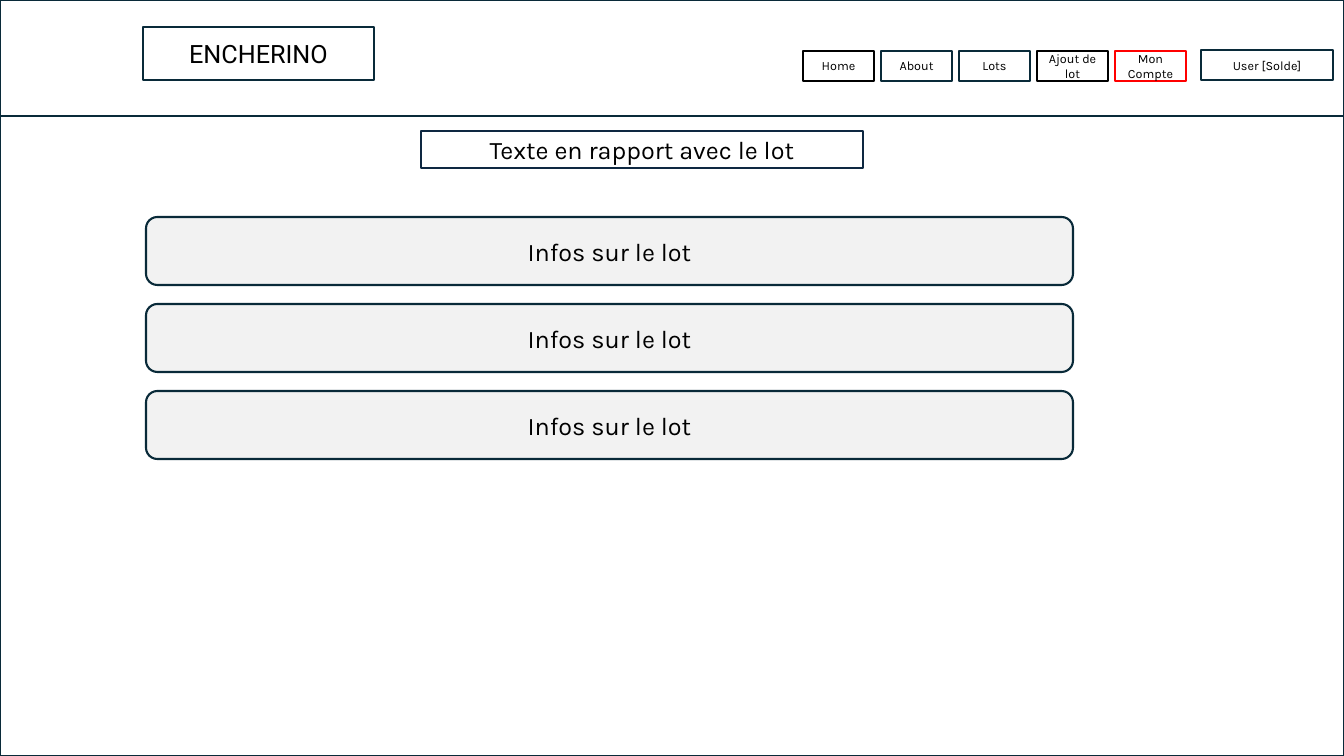
import pptx
import pptx.dml.color
import pptx.enum.shapes
import pptx.enum.text
import pptx.util

RGBColor = pptx.dml.color.RGBColor
SHAPES = pptx.enum.shapes.MSO_SHAPE

EMU_PER_PX = 914400 / 100.8
SLIDE_WIDTH, SLIDE_HEIGHT = 1344, 756

NAVY = RGBColor(0x09, 0x2A, 0x39)
DARK_BLUE = RGBColor(0x0E, 0x28, 0x41)
BLACK = RGBColor(0x00, 0x00, 0x00)
RED = RGBColor(0xFF, 0x00, 0x00)
WHITE = RGBColor(0xFF, 0xFF, 0xFF)
LIGHT_GRAY = RGBColor(0xF2, 0xF2, 0xF2)


def px(length):
    return pptx.util.Emu(round(length * EMU_PER_PX))


def write_text(shape, text, size=18, font="Karla", color=BLACK):
    frame = shape.text_frame
    frame.word_wrap = True
    frame.vertical_anchor = pptx.enum.text.MSO_ANCHOR.MIDDLE
    paragraph = frame.paragraphs[0]
    paragraph.alignment = pptx.enum.text.PP_ALIGN.CENTER
    run = paragraph.add_run()
    run.text = text
    run.font.size = pptx.util.Pt(size)
    run.font.name = font
    run.font.color.rgb = color


class Wireframe:
    line_width = pptx.util.Pt(1.5)

    def __init__(self, slide):
        self.slide = slide

    def outline(self, left, top, width, height, line=NAVY, kind=SHAPES.RECTANGLE):
        shape = self.slide.shapes.add_shape(
            kind, px(left), px(top), px(width), px(height))
        shape.shadow.inherit = False
        shape.fill.background()
        shape.line.color.rgb = line
        shape.line.width = self.line_width
        return shape

    def box(self, text, left, top, width, height, line=NAVY, **text_format):
        shape = self.outline(left, top, width, height, line)
        shape.fill.solid()
        shape.fill.fore_color.rgb = WHITE
        write_text(shape, text, **text_format)

    def card(self, text, left, top, width, height):
        shape = self.outline(left, top, width, height, kind=SHAPES.ROUNDED_RECTANGLE)
        shape.fill.solid()
        shape.fill.fore_color.rgb = LIGHT_GRAY
        write_text(shape, text)


def main():
    presentation = pptx.Presentation()
    presentation.slide_width = px(SLIDE_WIDTH)
    presentation.slide_height = px(SLIDE_HEIGHT)
    slide = presentation.slides.add_slide(presentation.slide_layouts[6])
    page = Wireframe(slide)

    # Header and page frames
    page.outline(0, 0, SLIDE_WIDTH, 116)
    page.outline(0, 0, SLIDE_WIDTH, SLIDE_HEIGHT)

    # Site name
    page.box("ENCHERINO", 143, 27, 231, 53, font="Roboto")

    # Navigation buttons
    buttons = [("Home", BLACK), ("About", NAVY), ("Lots", NAVY),
               ("Ajout de lot", BLACK), ("Mon Compte", RED)]
    for index, (label, line) in enumerate(buttons):
        page.box(label, 803 + 78 * index, 51, 71, 30, line, size=9)
    page.box("User [Solde]", 1201, 50, 132, 30, size=9)

    # Page heading
    page.box("Texte en rapport avec le lot", 421, 131, 442, 37, DARK_BLUE)

    # Lot cards
    for index in range(3):
        page.card("Infos sur le lot", 146, 217 + 87 * index, 927, 68)

    presentation.save("out.pptx")


if __name__ == "__main__":
    main()
